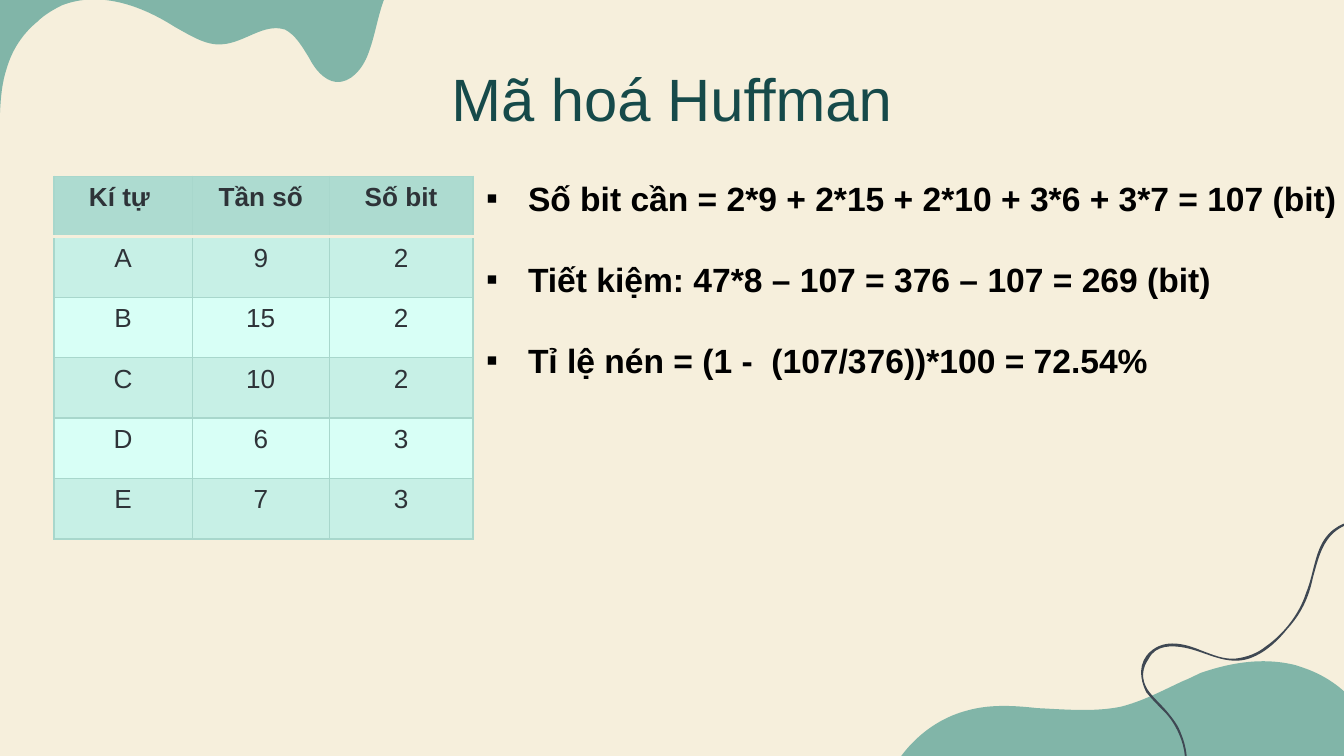
from lxml import etree
from pptx import Presentation
from pptx import util as u
from pptx.dml.color import RGBColor
from pptx.enum import text
from pptx.oxml.ns import qn

FONT = "Arial"
CREAM, GREEN, MINT, EDGE = "F6EFDC", "81B5A8", "ADDBD0", "A8D7CC"
UNIT = u.Cm(0.0254)

CORNER = [(251, -1), (-2, -1), (-2, 118),
          (1, 96, -2, 72, 5, 51), (9, 37, 17, 25, 28, 16), (33, 11, 40, 7, 46, 4),
          (74, -7, 105, 4, 130, 20), (141, 26, 153, 34, 165, 33),
          (182, 32, 196, 17, 212, 22), (220, 26, 225, 35, 230, 43),
          (230, 43, 230, 43, 230, 43), (234, 51, 241, 60, 250, 61),
          (261, 62, 270, 51, 274, 40), (279, 27, 281, 12, 286, -1), (251, -1)]
HILL = [(365, 92), (365, 77, 364, 62, 358, 49), (349, 30, 331, 15, 310, 8),
        (308, 7, 306, 7, 304, 6), (280, 0, 256, 4, 233, 12),
        (229, 14, 225, 16, 220, 18), (205, 25, 190, 33, 174, 37),
        (154, 41, 133, 39, 112, 38), (94, 36, 76, 35, 59, 40),
        (33, 47, 11, 67, 0, 92), (365, 92)]
THREAD = [(209, 19), (196, 12, 183, 4, 167, 4), (154, 4, 143, 10, 137, 21),
          (131, 32, 130, 46, 125, 58), (120, 74, 108, 89, 95, 98),
          (89, 103, 81, 106, 73, 107), (64, 108, 55, 104, 47, 101),
          (35, 96, 20, 92, 9, 102), (0, 110, 1, 122, 6, 132),
          (10, 137, 14, 141, 19, 146), (25, 152, 29, 159, 32, 167),
          (36, 178, 36, 190, 32, 201), (32, 202, 33, 202, 34, 201),
          (38, 189, 37, 175, 32, 163), (30, 157, 26, 152, 22, 147),
          (17, 141, 11, 136, 7, 130), (2, 122, 3, 114, 8, 107),
          (13, 97, 25, 97, 35, 99), (50, 102, 63, 111, 79, 108),
          (92, 105, 103, 95, 111, 85), (121, 74, 127, 62, 130, 47),
          (134, 33, 137, 18, 150, 10), (166, 0, 187, 9, 201, 17),
          (204, 18, 206, 20, 208, 21), (209, 21, 210, 20, 209, 19)]

ROWS = [("Kí tự ", "Tần số", "Số bit"), ("A", "9", "2"), ("B", "15", "2"),
        ("C", "10", "2"), ("D", "6", "3"), ("E", "7", "3")]
POINTS = ["Số bit cần = 2*9 + 2*15 + 2*10 + 3*6 + 3*7 = 107 (bit)",
          "Tiết kiệm: 47*8 – 107 = 376 – 107 = 269 (bit)",
          "Tỉ lệ nén = (1 -  (107/376))*100 = 72.54%"]


def rgb(value):
    return RGBColor.from_string(value)


def add_run(p, words, size, color, bold=False):
    r = p.add_run()
    r.text = words
    r.font.name, r.font.size, r.font.bold = FONT, u.Pt(size), bold
    r.font.color.rgb = rgb(color)


def add_curve(s, left, top, outline, fill):
    pts = [pair for step in outline for pair in zip(step[::2], step[1::2])]
    builder = s.shapes.build_freeform(*pts[0], scale=UNIT)
    builder.add_line_segments(pts[1:], close=True)
    sp = builder.convert_to_shape(left, top)
    lines = iter(list(sp._element.iter(qn("a:lnTo"))))
    for step in outline[1:]:
        first = next(lines)
        if len(step) == 6:
            first.tag
            bezier = etree.Element(qn("a:cubicBezTo"))
            first.addprevious(bezier)
            for ln in (first, next(lines), next(lines)):
                bezier.append(ln[0])
                ln.getparent().remove(ln)
    sp.shadow.inherit = False
    sp.fill.solid()
    sp.fill.fore_color.rgb = rgb(fill)
    sp.line.fill.background()


def add_title(s, left, top, width, height):
    sp = s.shapes.title
    sp.left, sp.top, sp.width, sp.height = left, top, width, height
    tf = sp.text_frame
    tf.margin_left = tf.margin_top = tf.margin_right = tf.margin_bottom = 0
    tf.auto_size = text.MSO_AUTO_SIZE.NONE
    tf.vertical_anchor = text.MSO_ANCHOR.TOP
    p = tf.paragraphs[0]
    p.alignment = text.PP_ALIGN.CENTER
    add_run(p, "Mã hoá Huffman", 32, "164A4A")


def set_border(cell, side, color, width):
    ln = etree.SubElement(cell._tc.get_or_add_tcPr(), qn("a:ln" + side), w=str(u.Pt(width)))
    fill = etree.SubElement(ln, qn("a:solidFill"))
    etree.SubElement(fill, qn("a:srgbClr"), val=color)


def add_frequency_table(s, left, top, width, height):
    table = s.shapes.add_table(len(ROWS), 3, left, top, width, height).table
    for col, part in zip(table.columns, (1.03, 1.02, 1.07)):
        col.width = int(width * part / 3.12)
    for i, row in enumerate(ROWS):
        table.rows[i].height = height // len(ROWS)
        for j, words in enumerate(row):
            cell = table.cell(i, j)
            for side in "LRTB":
                under_head = (i, side) in ((0, "B"), (1, "T"))
                set_border(cell, side, *((CREAM, 2) if under_head else (EDGE, 0.75)))
            cell.fill.solid()
            cell.fill.fore_color.rgb = rgb(MINT if i == 0 else ("D8FFF6", "C7F0E6")[i % 2])
            p = cell.text_frame.paragraphs[0]
            p.alignment = text.PP_ALIGN.CENTER
            add_run(p, words, 14, "2E3338", i == 0)


def add_points(s, left, top, width, height):
    tf = s.shapes.add_textbox(left, top, width, height).text_frame
    tf.word_wrap = True
    for i, words in enumerate(POINTS):
        p = tf.add_paragraph() if i else tf.paragraphs[0]
        p.space_before = u.Pt(21.8 if i else 0)
        pPr = p._p.get_or_add_pPr()
        pPr.set("marL", str(u.Cm(0.79)))
        pPr.set("indent", str(-u.Cm(0.79)))
        color = etree.SubElement(pPr, qn("a:buClr"))
        etree.SubElement(color, qn("a:srgbClr"), val="000000")
        etree.SubElement(pPr, qn("a:buFont"), typeface=FONT)
        etree.SubElement(pPr, qn("a:buChar"), char="▪")
        add_run(p, words, 18, "000000", True)


def main():
    prs = Presentation()
    prs.slide_width, prs.slide_height = u.Cm(25.4), u.Cm(14.29)
    s = prs.slides.add_slide(prs.slide_layouts[5])
    s.background.fill.solid()
    s.background.fill.fore_color.rgb = rgb(CREAM)
    add_curve(s, 0, 0, CORNER, GREEN)
    add_curve(s, u.Cm(16.76), u.Cm(12.42), HILL, GREEN)
    add_curve(s, u.Cm(21.51), u.Cm(9.73), THREAD, "3F4853")
    add_title(s, u.Cm(1.98), u.Cm(1.17), u.Cm(21.44), u.Cm(1.27))
    add_frequency_table(s, u.Cm(1.02), u.Cm(3.33), u.Cm(7.92), u.Cm(6.86))
    add_points(s, u.Cm(8.94), u.Cm(3.24), u.Cm(16.74), u.Cm(4.11))
    prs.save("out.pptx")


if __name__ == "__main__":
    main()
